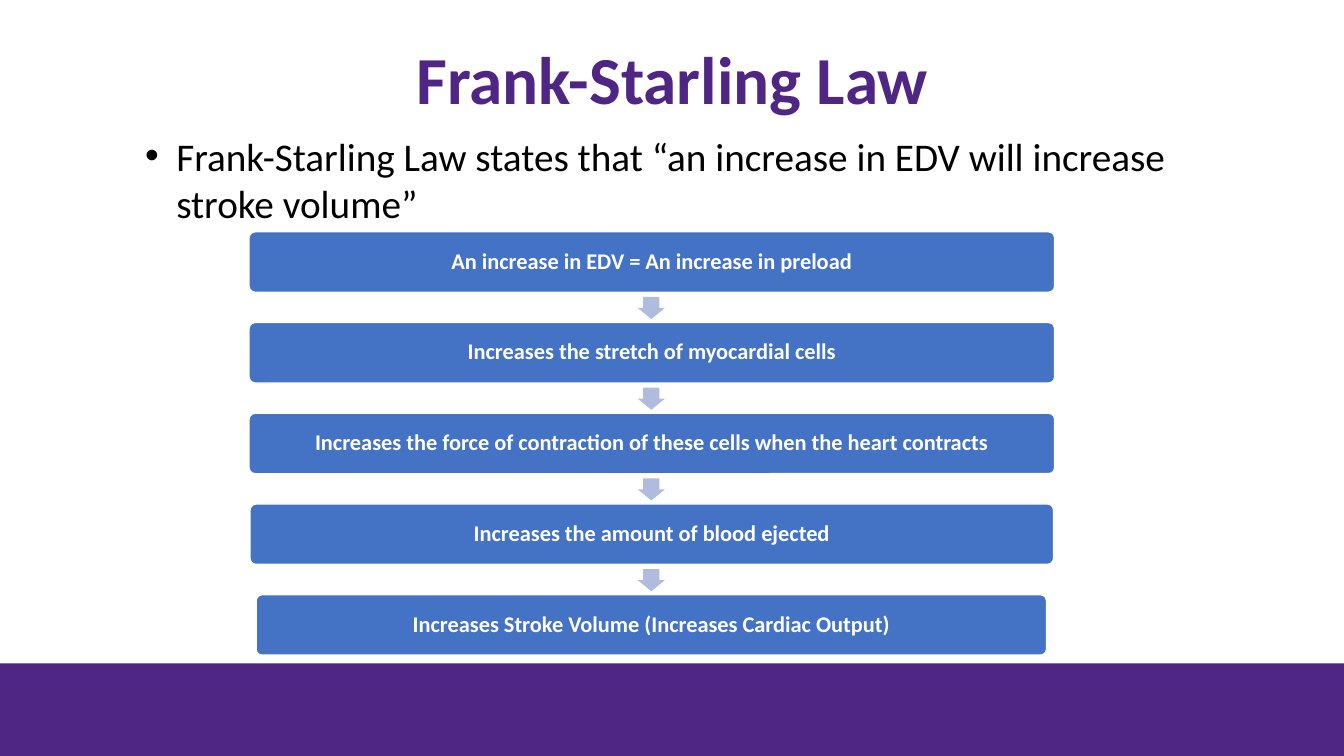
import pptx
import pptx.util
import pptx.dml.color
import pptx.enum.shapes
import pptx.enum.text
import pptx.oxml.ns
import lxml.etree

Inches = pptx.util.Inches
SHAPE = pptx.enum.shapes.MSO_SHAPE
TEXT = pptx.enum.text
COLORS = {"purple": "4F2683", "blue": "4472C4", "arrow": "B0BCDE",
          "white": "FFFFFF", "black": "000000"}

# Text of each step, with the left edge and width of its box
STEPS = [
    ("An increase in EDV = An increase in preload", 2.47, 7.99),
    ("Increases the stretch of myocardial cells", 2.47, 7.99),
    ("Increases the force of contraction of these cells when the heart contracts", 2.47, 7.99),
    ("Increases the amount of blood ejected", 2.48, 7.97),
    ("Increases Stroke Volume (Increases Cardiac Output)", 2.54, 7.84),
]
STEP_TOP, STEP_PITCH, STEP_HEIGHT = 2.3, 0.9, 0.6


def rgb(name):
    return pptx.dml.color.RGBColor.from_string(COLORS[name])


class SlideBuilder:
    font = "Calibri"

    def __init__(self, prs):
        self.s = prs.slides.add_slide(prs.slide_layouts[5])

    def add_text(self, sp, text, size, color, bold=False, **para):
        """Set one formatted paragraph and return it."""
        tf = sp.text_frame
        tf.word_wrap = True
        p = tf.paragraphs[0]
        for name, value in para.items():
            setattr(p, name, value)
        r = p.add_run()
        r.text = text
        style = {"name": self.font, "size": pptx.util.Pt(size), "bold": bold}
        for name, value in style.items():
            setattr(r.font, name, value)
        r.font.color.rgb = rgb(color)
        return p

    def title(self, text, left, top, width, height):
        sp = self.s.shapes.title
        box = {"left": left, "top": top, "width": width, "height": height}
        for name, value in box.items():
            setattr(sp, name, Inches(value))
        sp.text_frame.auto_size = TEXT.MSO_AUTO_SIZE.NONE
        sp.text_frame.vertical_anchor = TEXT.MSO_ANCHOR.MIDDLE
        self.add_text(sp, text, 48, "purple", True,
                      alignment=TEXT.PP_ALIGN.CENTER, line_spacing=0.9)

    def shape(self, kind, left, top, width, height, fill, line=None, adjust=()):
        sp = self.s.shapes.add_shape(kind, *map(Inches, (left, top, width, height)))
        sp.shadow.inherit = False
        sp.fill.solid()
        sp.fill.fore_color.rgb = rgb(fill)
        if line:
            sp.line.color.rgb = rgb(line)
            sp.line.width = pptx.util.Pt(1)
        else:
            sp.line.fill.background()
        for i, value in enumerate(adjust):
            sp.adjustments[i] = value
        return sp

    def step(self, text, left, top, width):
        sp = self.shape(SHAPE.ROUNDED_RECTANGLE, left, top, width, STEP_HEIGHT,
                        "blue", "white", [0.1])
        tf = sp.text_frame
        for side in ("left", "top", "right", "bottom"):
            setattr(tf, f"margin_{side}", Inches(0.07))
        tf.vertical_anchor = TEXT.MSO_ANCHOR.MIDDLE
        self.add_text(sp, text, 16, "white", True,
                      alignment=TEXT.PP_ALIGN.CENTER, line_spacing=0.9)

    def arrow(self, top):
        sp = self.shape(SHAPE.RIGHT_ARROW, 6.35, top, 0.22, 0.27, "arrow", adjust=[0.6, 0.5])
        sp.rotation = 90

    def bullet(self, text, left, top, width, height):
        sp = self.s.shapes.add_textbox(*map(Inches, (left, top, width, height)))
        p = self.add_text(sp, text, 28, "black")
        # Bullet character and hanging indent
        pPr = p._p.get_or_add_pPr()
        pPr.set("marL", str(Inches(0.31)))
        pPr.set("indent", str(Inches(-0.31)))
        qn = pptx.oxml.ns.qn
        lxml.etree.SubElement(pPr, qn("a:buFont"), typeface="Arial")
        lxml.etree.SubElement(pPr, qn("a:buChar"), char="•")


def main():
    prs = pptx.Presentation()
    prs.slide_width, prs.slide_height = Inches(13.33), Inches(7.5)
    slide = SlideBuilder(prs)

    # Title and footer band
    slide.title("Frank-Starling Law", 0.92, 0.22, 11.5, 1.2)
    slide.shape(SHAPE.RECTANGLE, 0, 6.58, 13.33, 0.92, "purple")

    # Chain of steps, with an arrow between neighbours
    for i, (text, left, width) in enumerate(STEPS):
        top = STEP_TOP + i * STEP_PITCH
        if i:
            slide.arrow(top - 0.28)
        slide.step(text, left, top, width)

    # Statement of the law
    slide.bullet("Frank-Starling Law states that “an increase in EDV will increase stroke volume”",
                 1.34, 1.26, 10.55, 1.04)

    prs.save("out.pptx")


if __name__ == "__main__":
    main()
